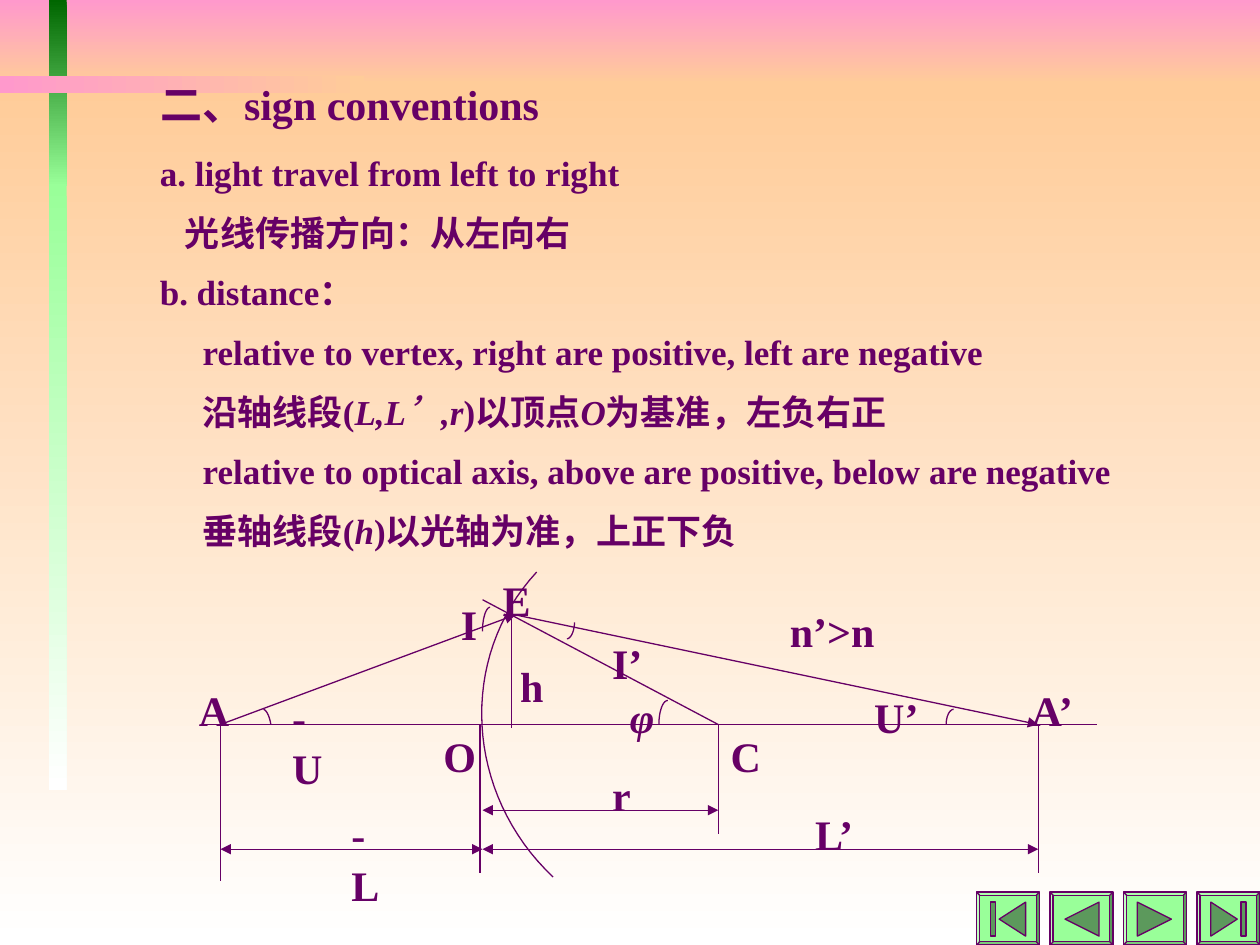
from dataclasses import dataclass

from lxml import etree
from pptx import Presentation
from pptx import util as u
from pptx.dml.color import RGBColor
from pptx.enum import shapes, text
from pptx.oxml.ns import qn

COLORS = {"ink": "660066", "pink": "FF99CC", "peach": "FFCC99", "white": "FFFFFF",
          "forest": "006600", "mint": "99FF99", "icon": "5C995C"}
FONT = "Times New Roman"
LINE_WIDTH = u.Pt(0.75)


@dataclass
class Band:
    box: tuple
    start: str
    end: str
    angle: int = 270


@dataclass
class Line:
    start: tuple
    end: tuple
    arrows: tuple = ()


@dataclass
class Label:
    text: str
    box: tuple
    italic: bool = False


@dataclass
class Button:
    base: float
    tip: float
    bar: float | None = None


def length(inches: float) -> u.Length:
    return u.Cm(inches * 2.54)


def rgb(name: str) -> RGBColor:
    return RGBColor.from_string(COLORS[name])


def outline(sp) -> None:
    sp.line.color.rgb = rgb("ink")
    sp.line.width = LINE_WIDTH


def format_frame(tf) -> None:
    tf.word_wrap = True
    tf.auto_size = text.MSO_AUTO_SIZE.NONE
    tf.vertical_anchor = text.MSO_ANCHOR.TOP


def add_run(p, content: str, size: float = 24, italic: bool = False) -> None:
    r = p.add_run()
    r.text = content
    r.font.name, r.font.size = FONT, u.Pt(size)
    r.font.bold, r.font.italic = True, italic
    r.font.color.rgb = rgb("ink")


def add_band(parent, band: Band) -> None:
    sp = parent.add_shape(shapes.MSO_SHAPE.RECTANGLE, *map(length, band.box))
    sp.shadow.inherit = False
    sp.line.fill.background()
    sp.fill.gradient()
    sp.fill.gradient_angle = band.angle
    for stop, name in zip(sp.fill.gradient_stops, (band.start, band.end)):
        stop.color.rgb = rgb(name)


def add_line(parent, line: Line) -> None:
    sp = parent.add_connector(shapes.MSO_CONNECTOR.STRAIGHT,
                              *map(length, line.start + line.end))
    outline(sp)
    ln = sp.line._get_or_add_ln()
    for end in line.arrows:
        etree.SubElement(ln, qn(f"a:{end}"), type="triangle")
    etree.SubElement(sp._element.spPr, qn("a:effectLst"))


def add_outline(parent, points: list, closed: bool):
    pts = [(length(x), length(y)) for x, y in points]
    builder = parent.build_freeform(*pts[0], scale=1.0)
    builder.add_line_segments(pts[1:], close=closed)
    sp = builder.convert_to_shape()
    sp.shadow.inherit = False
    outline(sp)
    return sp


def add_curve(parent, controls: tuple, steps: int = 32) -> None:
    """Draw a cubic Bezier curve through its four control points."""
    points = []
    for i in range(steps + 1):
        t = i / steps
        weights = ((1 - t) ** 3, 3 * t * (1 - t) ** 2, 3 * t ** 2 * (1 - t), t ** 3)
        points.append(tuple(sum(w * c[axis] for w, c in zip(weights, controls))
                            for axis in (0, 1)))
    add_outline(parent, points, closed=False).fill.background()


def add_label(parent, label: Label) -> None:
    tf = parent.add_textbox(*map(length, label.box)).text_frame
    format_frame(tf)
    add_run(tf.paragraphs[0], label.text, italic=label.italic)


def add_button(parent, left: float, button: Button) -> None:
    top, upper, lower = 7.08, 7.16, 7.43
    group = parent.add_group_shape().shapes
    frame = group.add_shape(shapes.MSO_SHAPE.BEVEL, *map(length, (left, top, 0.5, 0.42)))
    frame.adjustments[0] = 0.06
    base, tip = left + button.base, left + button.tip
    parts = [add_outline(group, [(base, upper), (tip, (upper + lower) / 2), (base, lower)], True)]
    if button.bar is not None:
        parts.append(group.add_shape(shapes.MSO_SHAPE.RECTANGLE, *map(
            length, (left + button.bar, upper, 0.04, lower - upper))))
    for sp, name in [(frame, "mint")] + [(part, "icon") for part in parts]:
        sp.shadow.inherit = False
        sp.fill.solid()
        sp.fill.fore_color.rgb = rgb(name)
        outline(sp)


BANDS = [
    Band((0, 0, 10, 0.67), "pink", "peach"),
    Band((0, 0.67, 10, 6.83), "peach", "white"),
    Band((0.39, 0, 0.14, 1.48), "forest", "mint"),
    Band((0.39, 1.46, 0.14, 4.81), "mint", "white"),
    Band((0, 0.6, 2.89, 0.14), "pink", "peach", 0),
]

# Each paragraph: indent in inches, then runs that alternate upright and italic
BODY = [
    (0, ["a. light travel from left to right"]),
    (0.2, ["光线传播方向：从左向右"]),
    (0, ["b. distance："]),
    (0.34, ["relative to vertex, right are positive, left are negative"]),
    (0.34, ["沿轴线段(", "L,L’,r", ")以顶点", "O", "为基准，左负右正"]),
    (0.34, ["relative to optical axis, above are positive, below are negative"]),
    (0.34, ["垂轴线段(", "h", ")以光轴为准，上正下负"]),
]

# Key points of the ray diagram
AXIS, DIM = 5.75, 6.74
A, E, C, A2 = (1.75, AXIS), (4.09, 4.88), (5.7, AXIS), (8.24, AXIS)
VERTEX = 3.83
BOTH = ("headEnd", "tailEnd")
LINES = [
    Line((1.62, AXIS), (8.71, AXIS)),
    Line(A, E, ("tailEnd",)),
    Line(E, A2, ("tailEnd",)),
    Line((VERTEX, 4.76), C),
    Line((4.06, 4.91), (4.06, 5.78)),
    Line(A, (A[0], 6.99)),
    Line((3.81, AXIS), (3.81, 6.93)),
    Line(A2, (A2[0], 6.93)),
    Line(C, (C[0], 6.62)),
    Line((A[0], DIM), (VERTEX, DIM), BOTH),
    Line((VERTEX, 6.43), (C[0], 6.43), BOTH),
    Line((VERTEX, DIM), (A2[0], DIM), BOTH),
]
CURVES = [
    ((4.26, 4.54), (3.63, 5.22), (3.69, 6.3), (4.39, 6.96)),  # refracting surface
    ((2.09, 5.63), (2.11, 5.63), (2.14, 5.68), (2.15, 5.75)),
    ((7.57, 5.63), (7.54, 5.63), (7.51, 5.68), (7.51, 5.75)),
    ((3.89, 4.82), (3.86, 4.82), (3.83, 4.9), (3.83, 5.01)),
    ((4.5, 5.07), (4.53, 5.07), (4.56, 5.01), (4.56, 4.94)),
    ((5.3, 5.56), (5.26, 5.56), (5.23, 5.65), (5.23, 5.75)),
]
LABELS = [
    Label("A’", (8.09, 5.38, 0.63, 0.5)), Label("φ", (4.9, 5.44, 0.43, 0.5), True),
    Label("U’", (6.84, 5.44, 0.63, 0.5)), Label("-U", (2.22, 5.44, 0.44, 0.9)),
    Label("r", (4.76, 6.06, 0.28, 0.5)), Label("n’>n", (6.17, 4.76, 0.88, 0.5)),
    Label("L’", (6.37, 6.37, 0.61, 0.5)), Label("-L", (2.69, 6.37, 0.43, 0.9)),
    Label("A", (1.48, 5.38, 0.36, 0.5)), Label("h", (4.03, 5.19, 0.31, 0.5)),
    Label("I’", (4.76, 5.01, 0.54, 0.5)), Label("I", (3.56, 4.7, 0.27, 0.5)),
    Label("E", (3.89, 4.51, 0.34, 0.5)), Label("C", (5.7, 5.75, 0.36, 0.5)),
    Label("O", (3.42, 5.75, 0.37, 0.5)),
]
BUTTONS = [Button(0.39, 0.18, 0.11), Button(0.39, 0.12), Button(0.11, 0.38),
           Button(0.11, 0.32, 0.35)]


def main() -> None:
    prs = Presentation()
    prs.slide_width, prs.slide_height = length(10), length(7.5)
    slide = prs.slides.add_slide(prs.slide_layouts[5])
    canvas = slide.shapes

    # Background bands
    for band in BANDS:
        add_band(canvas, band)

    # Title, brought in front of the bands
    title = canvas.title
    title._element.getparent().append(title._element)
    title.left, title.top, title.width, title.height = map(length, (1.17, 0.62, 8.83, 0.54))
    format_frame(title.text_frame)
    p = title.text_frame.paragraphs[0]
    p.alignment, p.line_spacing = text.PP_ALIGN.LEFT, 0.9
    add_run(p, "二、sign conventions")

    # Conventions
    tf = canvas.add_textbox(*map(length, (1.17, 1.19, 8.83, 3.3))).text_frame
    format_frame(tf)
    for i, (indent, runs) in enumerate(BODY):
        p = tf.add_paragraph() if i else tf.paragraphs[0]
        p._p.get_or_add_pPr().set("marL", str(length(indent)))
        p.line_spacing, p.space_before = 0.9, u.Pt(12.5 if i else 0)
        for j, content in enumerate(runs):
            add_run(p, content, size=20, italic=j % 2 == 1)

    # Ray diagram
    for line in LINES:
        add_line(canvas, line)
    for curve in CURVES:
        add_curve(canvas, curve)
    for label in LABELS:
        add_label(canvas, label)

    # Navigation buttons
    for i, button in enumerate(BUTTONS):
        add_button(canvas, 7.75 + i * 1.75 / 3, button)

    prs.save("out.pptx")


if __name__ == "__main__":
    main()
